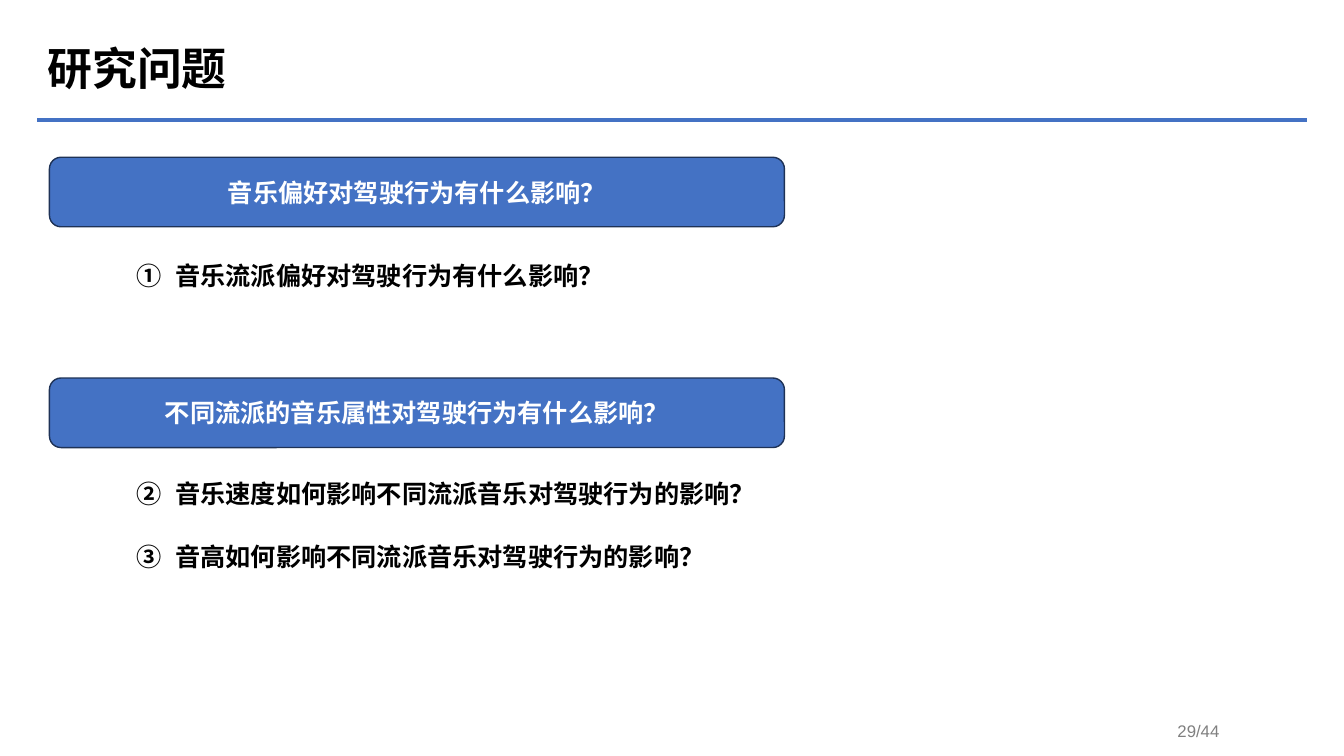
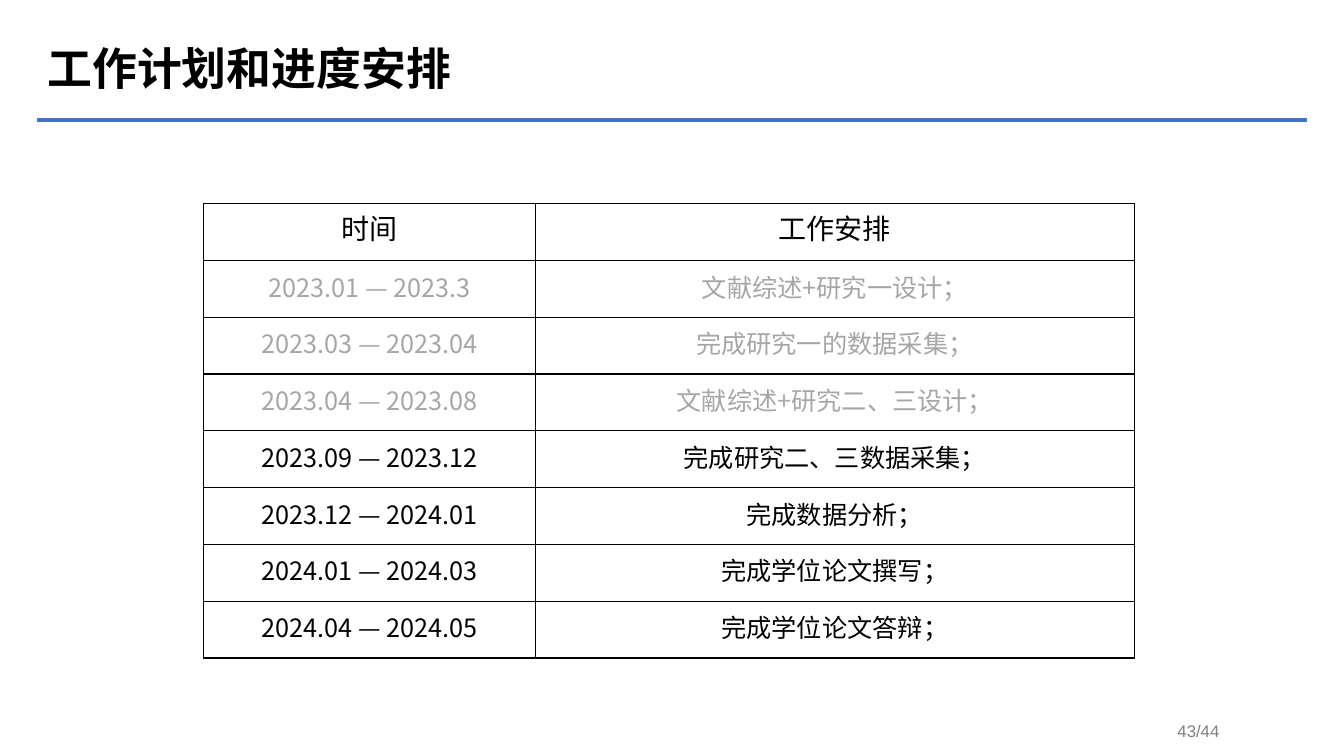
from dataclasses import dataclass

from lxml.etree import SubElement
from pptx import Presentation
from pptx.dml.color import RGBColor
from pptx.enum.shapes import MSO_CONNECTOR, MSO_SHAPE
from pptx.enum.text import MSO_ANCHOR, MSO_AUTO_SIZE, PP_ALIGN
from pptx.oxml.ns import qn
from pptx.util import Inches, Pt


@dataclass(frozen=True)
class Theme:
    font: str = "Noto Sans CJK SC"
    small: str = "Arial"
    black: str = "000000"
    white: str = "FFFFFF"
    blue: str = "4472C4"
    navy: str = "1E3256"
    gray: str = "808080"
    pale: str = "A6A6A6"
    title: int = 32
    head: int = 20
    body: int = 18
    foot: int = 12


THEME = Theme()
TOTAL = 44
PLAN = [
    ("时间", "工作安排"),
    ("2023.01 — 2023.3", "文献综述+研究一设计；"),
    ("2023.03 — 2023.04", "完成研究一的数据采集；"),
    ("2023.04 — 2023.08", "文献综述+研究二、三设计；"),
    ("2023.09 — 2023.12", "完成研究二、三数据采集；"),
    ("2023.12 — 2024.01", "完成数据分析；"),
    ("2024.01 — 2024.03", "完成学位论文撰写；"),
    ("2024.04 — 2024.05", "完成学位论文答辩；"),
]
DONE = 3


def style(para, size, color=THEME.black, bold=False, face=THEME.font):
    """Format the runs for both Latin and East Asian text."""
    for run in para.runs:
        font = run.font
        font.size, font.bold, font.name = Pt(size), bold, face
        font.color.rgb = RGBColor.from_string(color)
        east = SubElement(font._element, qn("a:ea"))
        east.set("typeface", face)


def add_text(slide, left, top, width, height):
    box = slide.shapes.add_textbox(
        Inches(left), Inches(top), Inches(width), Inches(height))
    box.text_frame.word_wrap = True
    return box.text_frame


def add_rule(slide):
    rule = slide.shapes.add_connector(
        MSO_CONNECTOR.STRAIGHT,
        Inches(0.37), Inches(1.19), Inches(12.96), Inches(1.19))
    rule.line.color.rgb = RGBColor.from_string(THEME.blue)
    rule.line.width = Pt(3)
    SubElement(rule._element.spPr, qn("a:effectLst"))


def add_slide(deck, title, page):
    """Add a slide with the shared title, rule and page number."""
    slide = deck.slides.add_slide(deck.slide_layouts[5])
    add_rule(slide)
    head = slide.shapes.title
    head.left, head.top = Inches(0.37), Inches(-0.02)
    head.width, head.height = Inches(11.5), Inches(1.45)
    frame = head.text_frame
    frame.text = title
    frame.auto_size = MSO_AUTO_SIZE.NONE
    frame.vertical_anchor = MSO_ANCHOR.MIDDLE
    para = frame.paragraphs[0]
    para.alignment, para.line_spacing = PP_ALIGN.LEFT, 0.9
    style(para, THEME.title, bold=True)
    foot = add_text(slide, 11.58, 7.1, 1.24, 0.3)
    foot.text = f"{page}/{TOTAL}"
    style(foot.paragraphs[0], THEME.foot, THEME.gray, face=THEME.small)
    return slide


def add_topic(slide, top, text):
    bar = slide.shapes.add_shape(
        MSO_SHAPE.ROUNDED_RECTANGLE,
        Inches(0.49), Inches(top), Inches(7.29), Inches(0.69))
    bar.shadow.inherit = False
    bar.fill.solid()
    bar.fill.fore_color.rgb = RGBColor.from_string(THEME.blue)
    bar.line.color.rgb = RGBColor.from_string(THEME.navy)
    bar.line.width = Pt(1)
    frame = bar.text_frame
    frame.text = text
    frame.vertical_anchor = MSO_ANCHOR.MIDDLE
    para = frame.paragraphs[0]
    para.alignment = PP_ALIGN.CENTER
    style(para, THEME.body, THEME.white, bold=True)


def add_list(slide, top, items, start=1):
    """Add questions with circled numbers counted from start."""
    frame = add_text(slide, 1.26, top, 11.5, 0.6 * len(items))
    for index, item in enumerate(items):
        para = frame.add_paragraph() if index else frame.paragraphs[0]
        para.text = item
        para.line_spacing = 1.5
        if index:
            para.space_before = Pt(12)
        props = para._p.get_or_add_pPr()
        props.set("marL", str(Inches(0.38)))
        props.set("indent", str(Inches(-0.38)))
        mark = SubElement(props, qn("a:buAutoNum"))
        mark.set("type", "circleNumDbPlain")
        mark.set("startAt", str(start))
        style(para, THEME.body, bold=True)


def add_border(cell):
    props = cell._tc.get_or_add_tcPr()
    for index, side in enumerate(("lnL", "lnR", "lnT", "lnB")):
        line = props.makeelement(qn(f"a:{side}"), {"w": str(Pt(1))})
        fill = SubElement(line, qn("a:solidFill"))
        SubElement(fill, qn("a:srgbClr")).set("val", THEME.black)
        props.insert(index, line)


def fill_cell(cell, text, size, color):
    cell.text = text
    cell.vertical_anchor = MSO_ANCHOR.MIDDLE
    cell.margin_left = cell.margin_right = Inches(0.07)
    cell.margin_top = cell.margin_bottom = 0
    cell.fill.solid()
    cell.fill.fore_color.rgb = RGBColor.from_string(THEME.white)
    add_border(cell)
    para = cell.text_frame.paragraphs[0]
    para.alignment, para.line_spacing = PP_ALIGN.CENTER, Pt(22)
    style(para, size, color)


def add_plan(slide, rows, done):
    """Add the schedule, with the first done periods in a pale tone."""
    widths = (3.29, 5.94)
    table = slide.shapes.add_table(
        len(rows), len(widths), Inches(2.02), Inches(2.02),
        Inches(sum(widths)), Inches(4.51)).table
    table.first_row = table.horz_banding = False
    for column, width in zip(table.columns, widths):
        column.width = Inches(width)
    for index, row in enumerate(rows):
        size = THEME.body if index else THEME.head
        color = THEME.pale if 1 <= index <= done else THEME.black
        for col, text in enumerate(row):
            fill_cell(table.cell(index, col), text, size, color)


def main():
    deck = Presentation()
    deck.slide_width, deck.slide_height = Inches(13.33), Inches(7.5)

    slide = add_slide(deck, "研究问题", 29)
    add_topic(slide, 1.56, "音乐偏好对驾驶行为有什么影响？")
    add_list(slide, 2.38, ["音乐流派偏好对驾驶行为有什么影响？"])
    add_topic(slide, 3.75, "不同流派的音乐属性对驾驶行为有什么影响？")
    add_list(slide, 4.55, [
        "音乐速度如何影响不同流派音乐对驾驶行为的影响？",
        "音高如何影响不同流派音乐对驾驶行为的影响？",
    ], start=2)

    slide = add_slide(deck, "工作计划和进度安排", 43)
    add_plan(slide, PLAN, DONE)

    deck.save("out.pptx")


if __name__ == "__main__":
    main()
